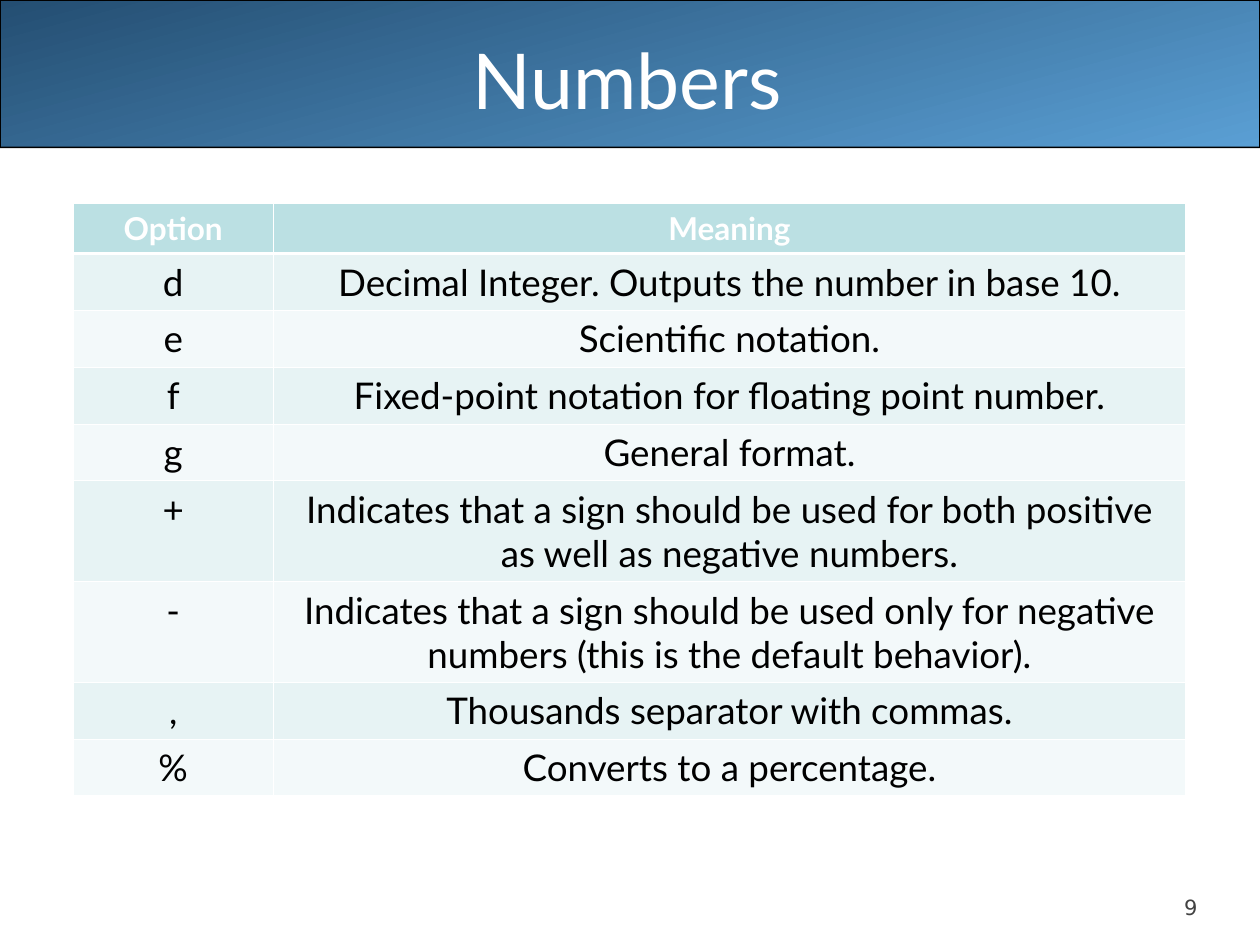
from lxml.etree import SubElement as Sub
from pptx import Presentation
from pptx.dml.color import RGBColor
from pptx.enum.shapes import MSO_SHAPE as Shape
from pptx.enum.text import MSO_ANCHOR as Anchor, PP_ALIGN as Align
from pptx.oxml.ns import qn
from pptx.util import Inches, Pt

WIDE, HIGH = 10, 7.5
ROWS = [
    ("Option", "Meaning"),
    ("d", "Decimal Integer. Outputs the number in base 10."),
    ("e", "Scientific notation."),
    ("f", "Fixed-point notation for floating point number."),
    ("g", "General format."),
    ("+", "Indicates that a sign should be used for both positive "
          "as well as negative numbers."),
    ("-", "Indicates that a sign should be used only for negative "
          "numbers (this is the default behavior)."),
    (",", "Thousands separator with commas."),
    ("%", "Converts to a percentage."),
]


def tint(code):
    return RGBColor.from_string(code)


def write(frame, text, size=21, color="000000", font="Lato", bold=False):
    para = frame.paragraphs[0]
    para.alignment = Align.CENTER
    run = para.add_run()
    run.text = text
    run.font.size, run.font.name, run.font.bold = Pt(size), font, bold
    run.font.color.rgb = tint(color)


def edge(cell, side, width, color):
    line = Sub(cell._tc.get_or_add_tcPr(), qn(f"a:ln{side}"), w=str(Pt(width)))
    Sub(Sub(line, qn("a:solidFill")), qn("a:srgbClr"), val=color)


class Page:
    white, head = "FFFFFF", "BBE0E3"
    bands = ("F3F9FA", "E7F3F4")
    thin, thick = 0.45, 1.47

    def __init__(self, deck):
        self.slide = deck.slides.add_slide(deck.slide_layouts[6])

    def area(self, left, top, width, height):
        """Turn shares of the slide into lengths."""
        return [Inches(share * full) for share, full in
                zip((left, top, width, height), (WIDE, HIGH) * 2)]

    def banner(self, *area, start, end):
        box = self.slide.shapes.add_shape(
            Shape.ROUNDED_RECTANGLE, *self.area(*area))
        box.adjustments[0] = 0.001
        box.shadow.inherit = False
        box.fill.gradient()
        box.fill.gradient_angle = 285
        for stop, place, code in zip(box.fill.gradient_stops, (0, 1), (start, end)):
            stop.position, stop.color.rgb = place, tint(code)
        box.line.color.rgb = tint("000000")
        box.line.width = Pt(1)

    def label(self, text, *area, anchor=Anchor.MIDDLE, wrap=True, **style):
        box = self.slide.shapes.add_textbox(*self.area(*area))
        frame = box.text_frame
        frame.word_wrap, frame.vertical_anchor = wrap, anchor
        write(frame, text, **style)
        return frame

    def table(self, rows, *area, split, heights):
        grid = self.slide.shapes.add_table(
            len(rows), len(rows[0]), *self.area(*area)).table
        grid.horz_banding = False
        for col, share in zip(grid.columns, split):
            col.width = Inches(share * area[2] * WIDE)
        for r, (row, tall) in enumerate(zip(rows, heights)):
            grid.rows[r].height = Inches(tall)
            for c, text in enumerate(row):
                self.cell(grid.cell(r, c), text, r)

    def cell(self, cell, text, r):
        for side in "LRTB":
            rule = (r, side) in ((0, "B"), (1, "T"))
            edge(cell, side, self.thick if rule else self.thin, self.white)
        cell.fill.solid()
        cell.fill.fore_color.rgb = tint(self.bands[r % 2] if r else self.head)
        style = {} if r else dict(size=18, color=self.white, bold=True)
        write(cell.text_frame, text, **style)


def main():
    deck = Presentation()
    deck.slide_width, deck.slide_height = Inches(WIDE), Inches(HIGH)
    page = Page(deck)

    # Page number
    page.label("9", 0.93, 0.952, 0.023, 0.028, anchor=Anchor.BOTTOM,
               wrap=False, size=12, color="424242", font="DejaVu Sans")

    # Title band
    page.banner(0, 0, 1, 0.156, start="244E72", end="5A9FD4")
    title = page.label("Numbers", 0.05, 0, 0.9, 0.167, size=44, color=page.white)
    title.margin_left, title.margin_right = Inches(0.1), Inches(0.14)

    # Options: one header row, then rows of one or two lines
    tall = [0.4] + [0.8 if len(text) > 60 else 0.45 for _, text in ROWS[1:]]
    page.table(ROWS, 0.058, 0.215, 0.883, sum(tall) / HIGH,
               split=(0.18, 0.82), heights=tall)

    deck.save("out.pptx")


if __name__ == "__main__":
    main()
